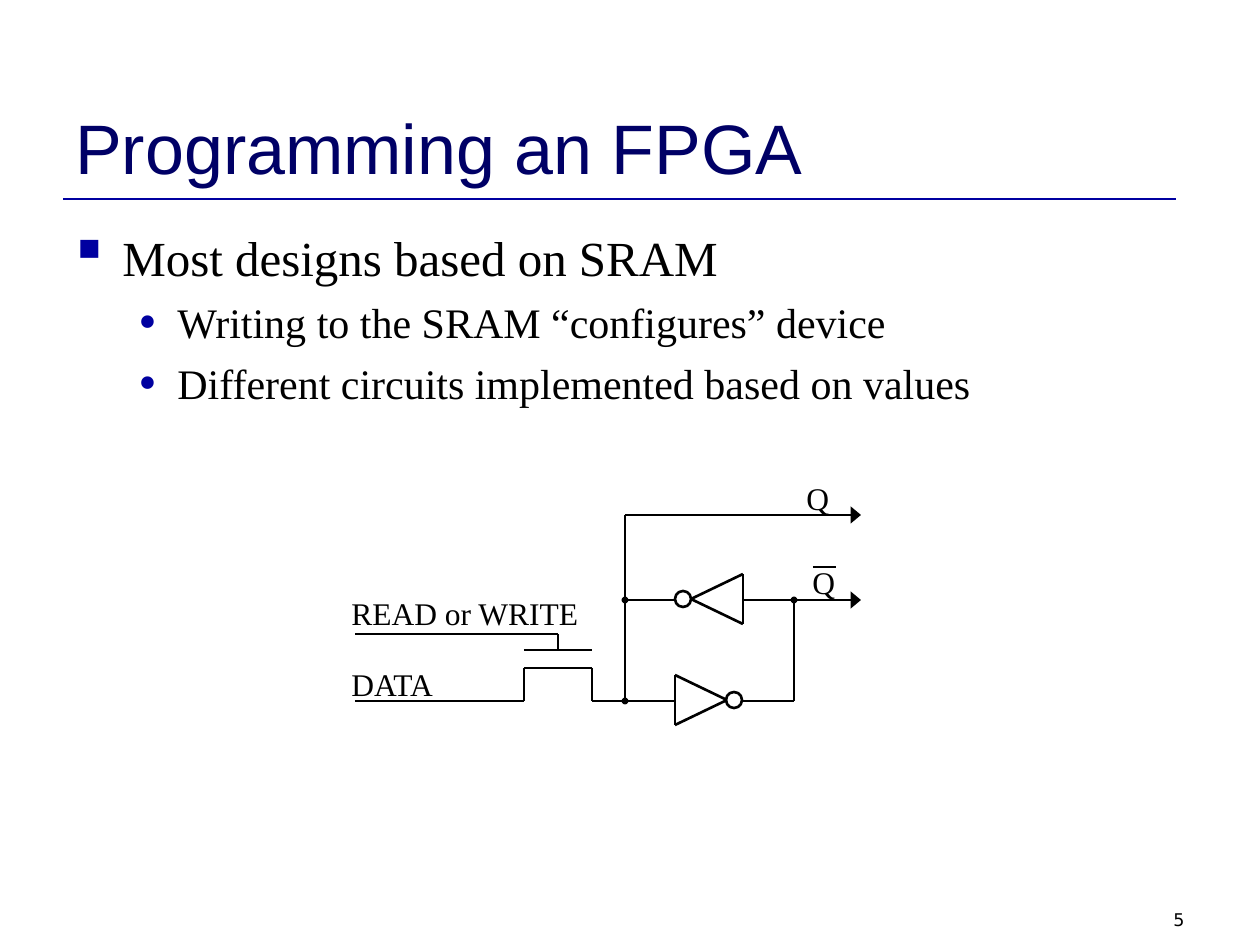
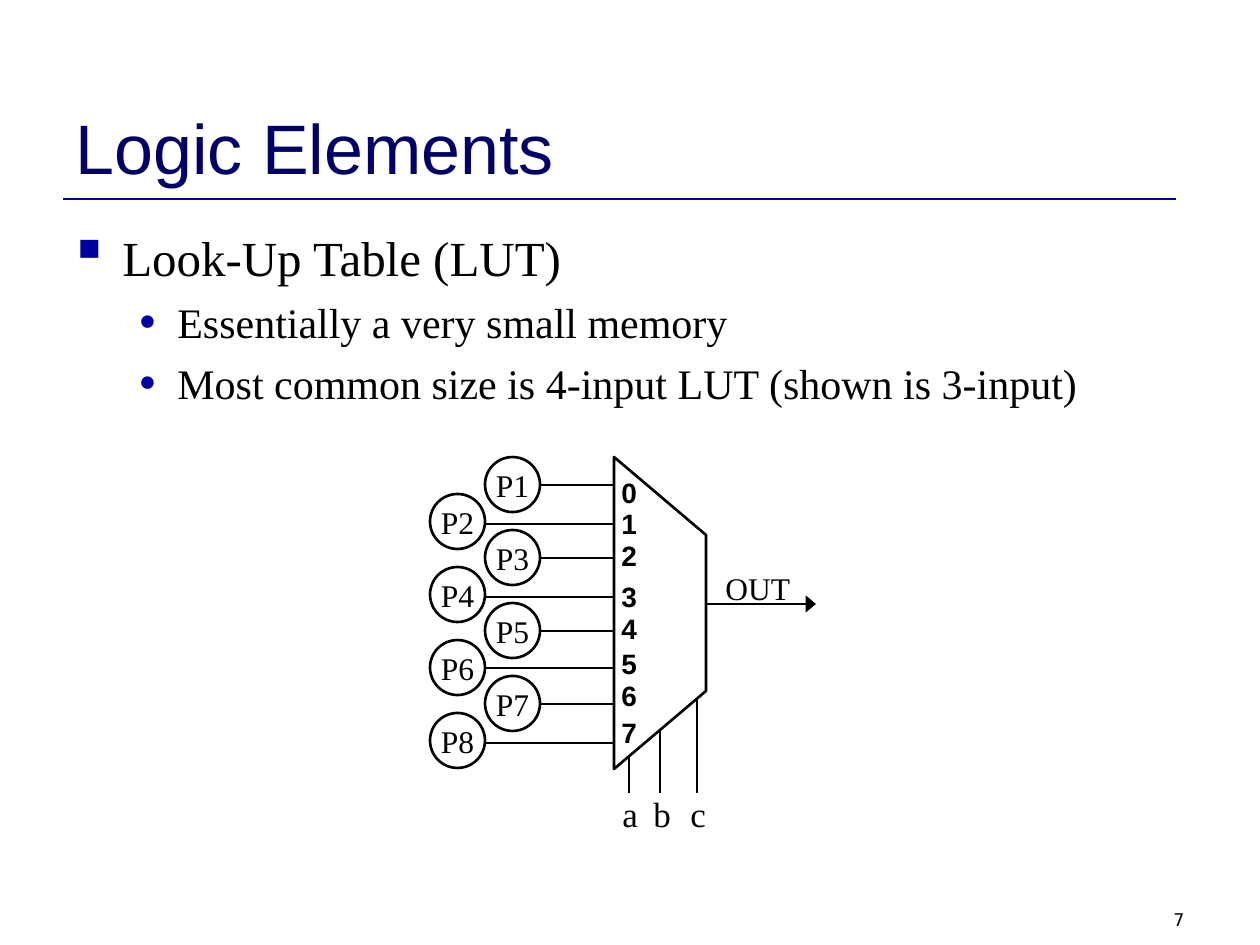
from lxml.etree import SubElement as Sub
from pptx import Presentation
from pptx.dml.color import RGBColor as Rgb
from pptx.enum.shapes import MSO_CONNECTOR as Conn, MSO_SHAPE as Shape
from pptx.enum.text import MSO_ANCHOR as Anchor, MSO_AUTO_SIZE as Auto, PP_ALIGN as Align
from pptx.oxml.ns import qn
from pptx.util import Pt

SCALE = 914400 / 126  # EMU per px
INK = {"title": "000066", "rule": "0000A0", "black": "000000"}
SERIF, SANS, SMALL = "Times New Roman", "Arial", "DejaVu Sans"
# Outline levels: left edge, hang, size, bullet font, bullet
LEVELS = [(47, 47, 28, "Wingdings", "§"), (102, 39, 24, SERIF, "•")]
# Line ends: width and length
ENDS = {"oval": ("sm", "sm"), "triangle": ("lg", "med")}


def px(n):
    return round(n * SCALE)


def add_run(para, text, size, font=SERIF, ink="black", bold=False):
    run = para.add_run()
    run.text = text
    face = run.font
    face.name, face.size, face.bold = font, Pt(size), bold
    face.color.rgb = Rgb.from_string(INK[ink])


# Text
def add_box(slide, x, y, w, h, wrap=True):
    frame = slide.shapes.add_textbox(px(x), px(y), px(w), px(h)).text_frame
    frame.word_wrap = wrap
    frame.auto_size = Auto.NONE if wrap else Auto.SHAPE_TO_FIT_TEXT
    return frame


def add_label(slide, text, x, y, w, h, size=18, align=Align.LEFT, **style):
    para = add_box(slide, x, y, w, h, wrap=False).paragraphs[0]
    para.alignment = align
    add_run(para, text, size, **style)


def add_bullet(para, font, mark, left, hang):
    props = para._p.get_or_add_pPr()
    props.set("marL", str(px(left)))
    props.set("indent", str(-px(hang)))
    tint = Sub(props, qn("a:buClr"))
    Sub(tint, qn("a:srgbClr"), val=INK["rule"])
    Sub(props, qn("a:buSzPct"), val="125000")
    Sub(props, qn("a:buFont"), typeface=font)
    Sub(props, qn("a:buChar"), char=mark)


def add_list(slide, items):
    frame = add_box(slide, 63, 221, 1134, 683)
    for i, (level, text) in enumerate(items):
        para = frame.add_paragraph() if i else frame.paragraphs[0]
        left, hang, size, font, mark = LEVELS[level]
        para.level = level
        add_bullet(para, font, mark, left, hang)
        if i:
            para.space_before = Pt(6)
        add_run(para, text, size)


# Lines and shapes
def add_line(slide, start, end, ink="black", head=None, tail=None):
    line = slide.shapes.add_connector(Conn.STRAIGHT, *map(px, start + end))
    line.line.color.rgb = Rgb.from_string(INK[ink])
    line.line.width = Pt(1.5)
    stroke = line.line._get_or_add_ln()
    for tag, kind in (("a:headEnd", head), ("a:tailEnd", tail)):
        if kind:
            wide, long = ENDS[kind]
            Sub(stroke, qn(tag), type=kind, w=wide, len=long)
    Sub(line._element.spPr, qn("a:effectLst"))


def add_wire(slide, *points):
    for start, end in zip(points, points[1:]):
        add_line(slide, start, end)


def outline(shape):
    shape.shadow.inherit = False
    shape.fill.background()
    shape.line.color.rgb = Rgb.from_string(INK["black"])
    shape.line.width = Pt(1.5)


def add_ring(slide, x, y, size, text=None):
    ring = slide.shapes.add_shape(Shape.OVAL, px(x), px(y), px(size), px(size))
    outline(ring)
    if text:
        frame = ring.text_frame
        frame.word_wrap = False
        frame.vertical_anchor = Anchor.MIDDLE
        para = frame.paragraphs[0]
        para.alignment = Align.CENTER
        add_run(para, text, 18)


def add_gate(slide, base, tip, ring, y):
    """Inverter: a triangle from base to tip, with a ring at the tip."""
    add_wire(slide, (base, y - 25), (base, y + 25), (tip, y), (base, y - 25))
    add_ring(slide, ring, y - 8, 16)


# Shared frame of each slide
def add_page(deck, title, number, items):
    slide = deck.slides.add_slide(deck.slide_layouts[6])
    add_line(slide, (63, 199), (1176, 199), ink="rule")
    para = add_box(slide, 903, 903, 294, 32).paragraphs[0]
    para.alignment = Align.RIGHT
    add_run(para, str(number), 10, SMALL)
    frame = add_box(slide, 63, 38, 1134, 157)
    frame.vertical_anchor = Anchor.BOTTOM
    add_run(frame.paragraphs[0], title, 40, SANS, "title")
    add_list(slide, items)
    return slide


def draw_cell(slide):
    top, mid, low = 515, 600, 701
    left, right, end = 625, 794, 861
    # Pass gate
    add_wire(slide, (355, low), (524, low), (524, 668), (592, 668),
             (592, low), (left, low))
    add_wire(slide, (524, 650), (592, 650))
    add_wire(slide, (558, 650), (558, 634), (355, 634))
    # Loop of two inverters
    add_wire(slide, (left, low), (left, mid), (left, top))
    for y in (low, mid):
        add_line(slide, (left, y), (675, y), head="oval")
    add_gate(slide, 675, 727, 726, 700)
    add_gate(slide, 743, 691, 675, 599)
    add_wire(slide, (743, low), (right, low))
    add_line(slide, (right, low), (right, mid), tail="oval")
    # Outputs
    add_line(slide, (left, top), (end, top), tail="triangle")
    add_line(slide, (743, mid), (end, mid), tail="triangle")
    add_line(slide, (813, 567), (836, 567))
    for text, x, y, w in (("DATA", 339, 659, 112), ("READ or WRITE", 339, 588, 252),
                          ("Q", 794, 473, 48), ("Q", 800, 557, 48)):
        add_label(slide, text, x, y, w, 50)


def draw_table(slide):
    edge, out = 614, 706
    # Memory bits and their wires
    wires = (485, 524, 558, 597, 631, 668, 704, 743)
    tops = (469, 500, 532, 573, 605, 640, 672, 709)
    for i, (y, top) in enumerate(zip(wires, tops)):
        x = 430 if i % 2 else 485
        add_ring(slide, x, (915 + 73 * i) // 2, 55, f"P{i + 1}")
        add_line(slide, (x + 55, y), (edge, y))
        add_label(slide, str(i), 609, top, 40, 47, 16, Align.CENTER,
                  font=SANS, bold=True)
    # Selector
    pen = slide.shapes.build_freeform(edge, 769, scale=SCALE)
    pen.add_line_segments([(out, 691), (out, 535), (edge, 457)], close=True)
    outline(pen.convert_to_shape())
    # Select lines
    for text, x, y, left in (("a", 629, 757, 610), ("b", 660, 730, 641),
                             ("c", 697, 699, 678)):
        add_line(slide, (x, y), (x, 793))
        add_label(slide, text, left, 786, 40, 55, 20)
    # Output
    add_line(slide, (out, 604), (816, 604), tail="triangle")
    add_label(slide, "OUT", 713, 563, 96, 50)


def main():
    deck = Presentation()
    deck.slide_width, deck.slide_height = px(1260), px(945)
    draw_cell(add_page(deck, "Programming an FPGA", 5, [
        (0, "Most designs based on SRAM"),
        (1, "Writing to the SRAM “configures” device"),
        (1, "Different circuits implemented based on values"),
    ]))
    draw_table(add_page(deck, "Logic Elements", 7, [
        (0, "Look-Up Table (LUT)"),
        (1, "Essentially a very small memory"),
        (1, "Most common size is 4-input LUT (shown is 3-input)"),
    ]))
    deck.save("out.pptx")


if __name__ == "__main__":
    main()
